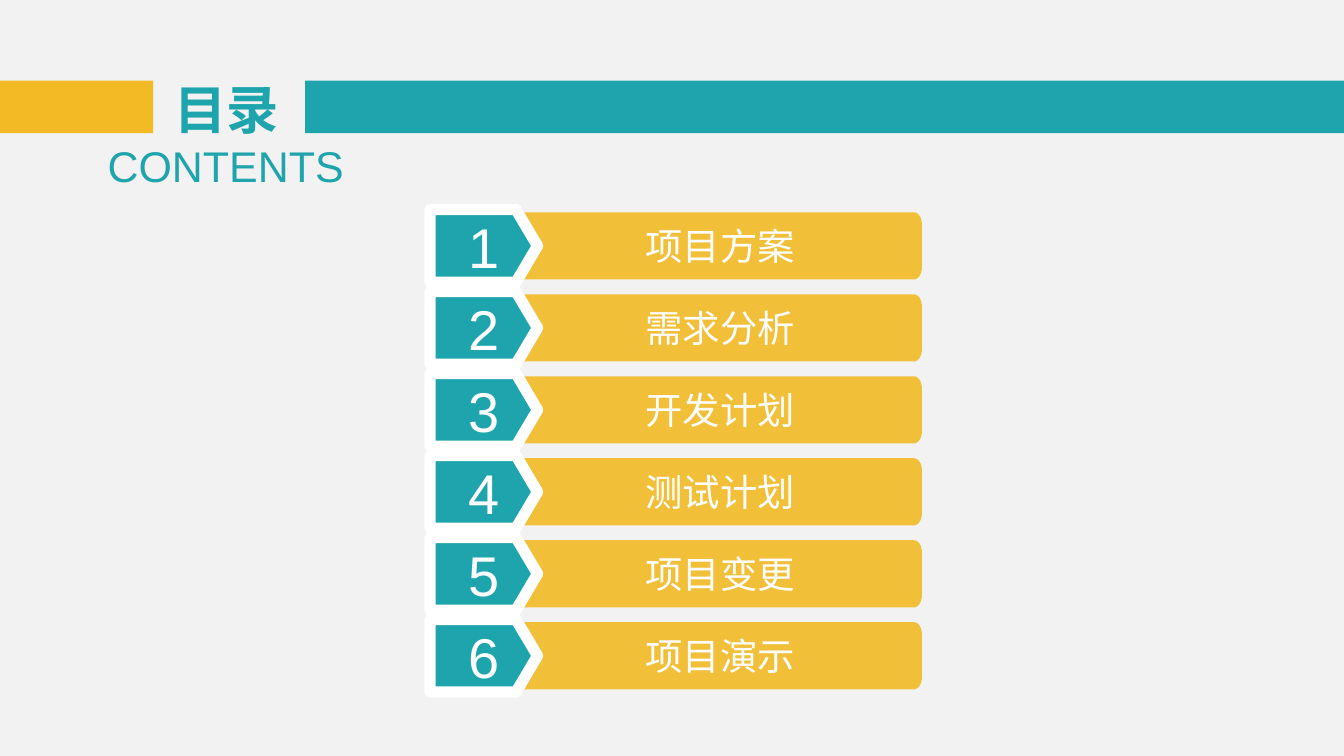
"""Build a contents slide with six numbered agenda bars."""
from math import cos, pi, sin

from lxml import etree
from pptx import Presentation
from pptx.dml.color import RGBColor
from pptx.enum.shapes import MSO_SHAPE
from pptx.enum.text import MSO_ANCHOR, PP_ALIGN
from pptx.oxml.ns import qn
from pptx.util import Inches, Pt

RECT = MSO_SHAPE.RECTANGLE
TOP, MIDDLE = MSO_ANCHOR.TOP, MSO_ANCHOR.MIDDLE
CENTER = PP_ALIGN.CENTER
TEAL, YELLOW, WHITE, GRAY = "1EA4AD", "F2BA25", "FFFFFF", "F2F2F2"
rgb = RGBColor.from_string


def set_text(sp, text, size, color, anchor=MIDDLE, bold=False):
    tf = sp.text_frame
    tf.word_wrap = True
    tf.vertical_anchor = anchor
    tf.margin_left = tf.margin_top = tf.margin_right = tf.margin_bottom = 0
    p = tf.paragraphs[0]
    p.text = text
    p.alignment = CENTER
    p.font.name = "Arial"
    p.font.size = Pt(size)
    p.font.bold = bold
    p.font.color.rgb = rgb(color)


def add_polygon(points, fill, text, size):
    points = [(Inches(x), Inches(y)) for x, y in points]
    builder = s.shapes.build_freeform(*points[0])
    builder.add_line_segments(points[1:], close=True)
    sp = builder.convert_to_shape()
    sp.shadow.inherit = False
    sp.fill.solid()
    sp.fill.fore_color.rgb = rgb(fill)
    set_text(sp, text, size, WHITE)
    return sp


prs = Presentation()
prs.slide_width, prs.slide_height = Inches(10), Inches(10 * 9 / 16)
s = prs.slides.add_slide(prs.slide_layouts[6])
s.background.fill.solid()
s.background.fill.fore_color.rgb = rgb(GRAY)

for left, width, color in [(0, 1.14, YELLOW), (2.27, 7.73, TEAL)]:
    sp = s.shapes.add_shape(RECT, Inches(left), Inches(0.6), Inches(width), Inches(0.39))
    sp.shadow.inherit = False
    sp.fill.solid()
    sp.fill.fore_color.rgb = rgb(color)
    sp.line.fill.background()

title = s.shapes.add_textbox(Inches(1.24), Inches(0.57), Inches(0.89), Inches(0.48))
set_text(title, "目录", 28, TEAL, bold=True)
subtitle = s.shapes.add_textbox(Inches(0.67), Inches(1.04), Inches(2.02), Inches(0.39))
set_text(subtitle, "CONTENTS", 23, TEAL, anchor=TOP)

topics = ["项目方案", "需求分析", "开发计划", "测试计划", "项目变更", "项目演示"]
left, right, height = 3.86, 6.86, 0.5
rx, ry = 0.06, 0.09
angles = [i * pi / 16 for i in range(9)]
for i, topic in enumerate(topics):
    top = 1.58 + 0.61 * i
    bottom = top + height
    upper = [(right - rx + rx * sin(a), top + ry - ry * cos(a)) for a in angles]
    lower = [(right - rx + rx * cos(a), bottom - ry + ry * sin(a)) for a in angles]
    bar = add_polygon([(left, top), *upper, *lower, (left, bottom)], YELLOW, topic, 20)
    bar.line.fill.background()
    color = bar.fill._xPr.find(qn("a:solidFill"))[0]
    etree.SubElement(color, qn("a:alpha"), val="90000")

    y = top - 0.02
    arrow = [(3.2, y), (3.84, y), (4, y + 0.27), (3.84, y + 0.54), (3.2, y + 0.54)]
    tag = add_polygon(arrow, TEAL, str(i + 1), 30)
    tag.line.color.rgb = rgb(WHITE)
    tag.line.width = Pt(6)

prs.save("out.pptx")
